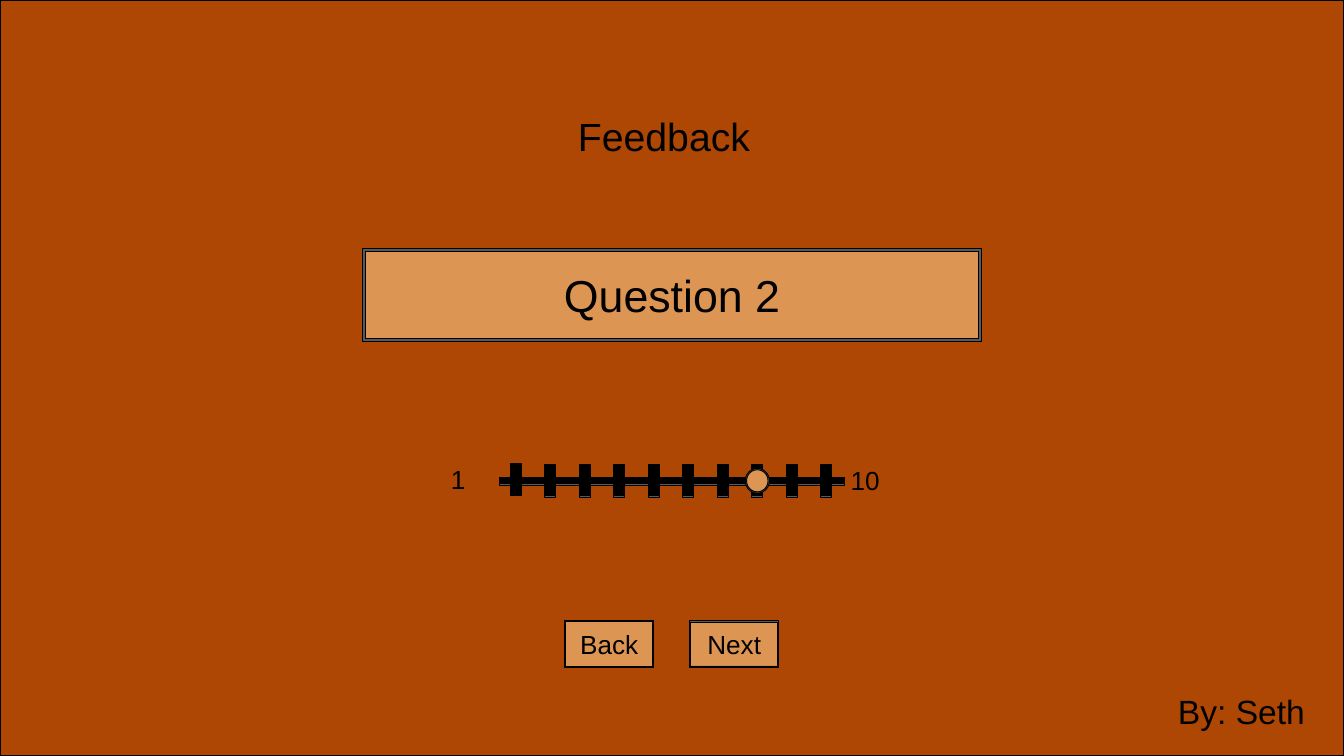
from pptx import Presentation
from pptx.dml.color import RGBColor
from pptx.enum.shapes import MSO_SHAPE as Shape
from pptx.enum.text import MSO_ANCHOR as Anchor, MSO_AUTO_SIZE as AutoSize, PP_ALIGN as Align
from pptx.util import Inches, Pt

THEME = {
    "font": "Arial", "ink": "000000", "rim": "595959",
    "ground": "AE4704", "accent": "DC9553",
    "question": 47.9, "title": 42, "author": 36, "label": 28,
    "leading": 1.2, "outline": 1,
}
WIDTH, HEIGHT = 20, 11.25

QUESTION = ("Question 2", "question", (5.42, 3.72, 9.16, 1.34), 0.04)
NEXT = ("Next", "label", (10.27, 9.25, 1.31, 0.67), 0.02)
BACK = ("Back", "label", (8.41, 9.24, 1.31, 0.69), 0.02)

TITLE = ("Feedback", "title", (8.6, 1.67, 2.79, 0.97))
AUTHOR = ("By: Seth", "author", (17.53, 10.28, 2.1, 0.71))
SCALE_ENDS = [
    ("1", "label", (6.71, 6.69, 0.62, 0.88)),
    ("10", "label", (12.66, 6.71, 0.84, 0.88)),
]

TRACK = (7.44, 7.11, 5.12, 0.1)
TICK_COUNT = 10
TICK_FIRST, TICK_LAST = 7.6, 12.22
TICK_TOP, FIRST_TICK_TOP = 6.92, 6.9
TICK_SIZE = (0.15, 0.47)
KNOB = (11.1, 6.98, 0.34, 0.35)


def add_figure(page, kind, bounds, fill):
    figure = page.shapes.add_shape(kind, *map(Inches, bounds))
    figure.shadow.inherit = False
    figure.fill.solid()
    figure.fill.fore_color.rgb = RGBColor.from_string(THEME[fill])
    figure.line.color.rgb = RGBColor.from_string(THEME["ink"])
    figure.line.width = Pt(THEME["outline"])
    return figure


def add_rimmed(page, bounds, fill, rim=0.02, body=Shape.RECTANGLE, border=Shape.FRAME):
    add_figure(page, body, bounds, fill)
    left, top, width, height = bounds
    outer = (left - rim / 2, top - rim / 2, width + rim, height + rim)
    frame = add_figure(page, border, outer, "rim")
    frame.adjustments[0] = rim / min(outer[2:])


def add_text(page, words, size, bounds, inset=0, align=Align.LEFT,
             anchor=Anchor.MIDDLE, fit=AutoSize.NONE):
    box = page.shapes.add_textbox(*map(Inches, bounds))
    frame = box.text_frame
    frame.word_wrap = True
    frame.auto_size = fit
    frame.vertical_anchor = anchor
    frame.margin_left = frame.margin_right = Inches(inset)
    frame.margin_top = frame.margin_bottom = Inches(inset)
    para = frame.paragraphs[0]
    para.alignment = align
    para.line_spacing = Pt(THEME[size] * THEME["leading"])
    span = para.add_run()
    span.text = words
    span.font.name = THEME["font"]
    span.font.size = Pt(THEME[size])
    span.font.color.rgb = RGBColor.from_string(THEME["ink"])


def add_panel(page, words, size, bounds, rim):
    add_rimmed(page, bounds, "accent", rim)
    add_text(page, words, size, bounds, inset=0.05, align=Align.CENTER)


def add_slider(page):
    add_rimmed(page, TRACK, "ink")
    step = (TICK_LAST - TICK_FIRST) / (TICK_COUNT - 1)
    for index in range(TICK_COUNT):
        top = TICK_TOP if index else FIRST_TICK_TOP
        add_rimmed(page, (TICK_FIRST + index * step, top, *TICK_SIZE), "ink")
    add_rimmed(page, KNOB, "accent", body=Shape.OVAL, border=Shape.DONUT)
    for label in SCALE_ENDS:
        add_text(page, *label)


def main():
    deck = Presentation()
    deck.slide_width, deck.slide_height = Inches(WIDTH), Inches(HEIGHT)
    page = deck.slides.add_slide(deck.slide_layouts[6])
    add_rimmed(page, (0, 0, WIDTH, HEIGHT), "ground")
    add_panel(page, *QUESTION)
    add_panel(page, *NEXT)
    add_text(page, *TITLE, anchor=Anchor.TOP, fit=AutoSize.SHAPE_TO_FIT_TEXT)
    add_slider(page)
    add_text(page, *AUTHOR, anchor=Anchor.TOP, fit=AutoSize.SHAPE_TO_FIT_TEXT)
    add_panel(page, *BACK)
    deck.save("out.pptx")


if __name__ == "__main__":
    main()
